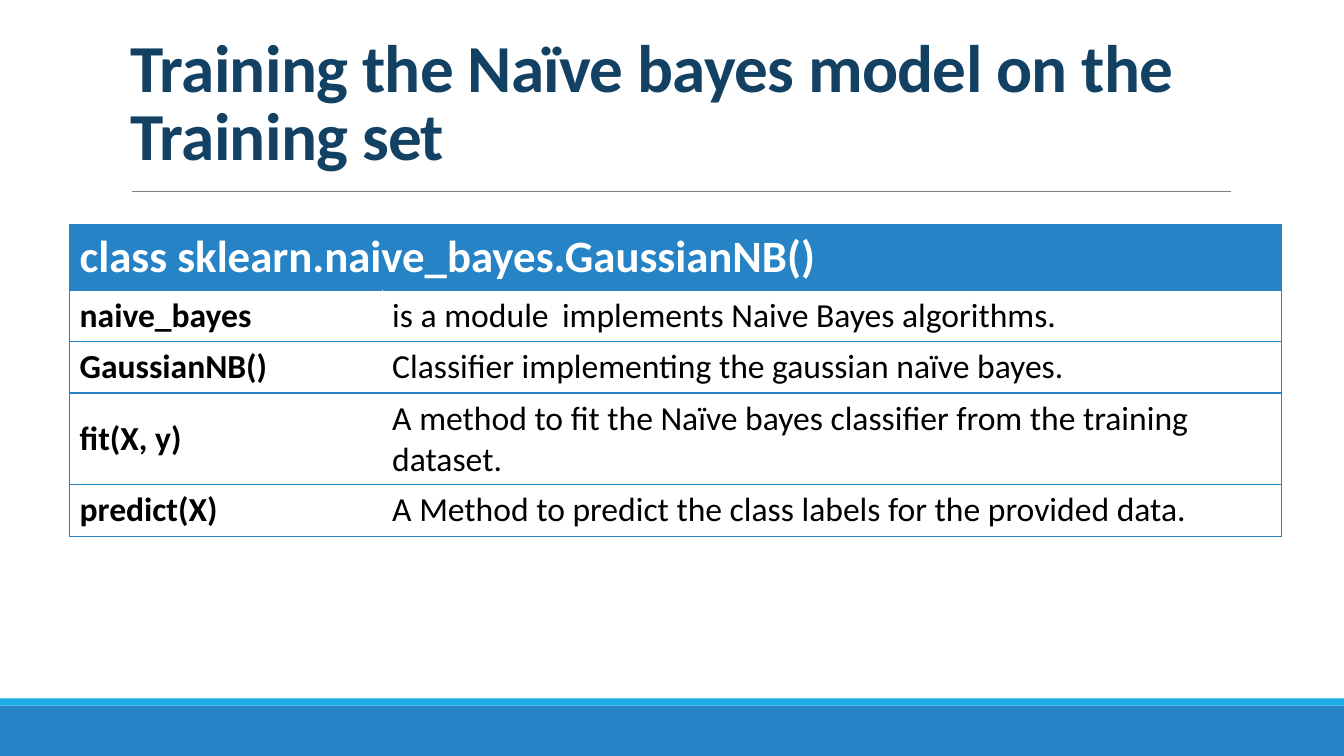
from lxml import etree
from pptx import Presentation
from pptx.dml.color import RGBColor
from pptx.enum.shapes import MSO_CONNECTOR, MSO_SHAPE
from pptx.enum.text import MSO_ANCHOR
from pptx.oxml.ns import qn
from pptx.util import Inches, Pt

RECT = MSO_SHAPE.RECTANGLE
STRAIGHT = MSO_CONNECTOR.STRAIGHT
TOP, MIDDLE, BOTTOM = MSO_ANCHOR.TOP, MSO_ANCHOR.MIDDLE, MSO_ANCHOR.BOTTOM

COLORS = {
    "blue": "2683C6",
    "cyan": "1CADE4",
    "navy": "134163",
    "grey": "808080",
    "white": "FFFFFF",
    "black": "000000",
}
FONT = "Calibri"
COL_WIDTHS = [3.1, 8.92]
ROW_HEIGHTS = [0.65, 0.51, 0.51, 0.91, 0.51]
HEADER = "class sklearn.naive_bayes.GaussianNB()"
ROWS = [
    ("naive_bayes",
     [("is a module ", 24), (" ", 18), ("implements Naive Bayes algorithms. ", 24)], TOP),
    ("GaussianNB()",
     [("Classifier implementing the gaussian naïve bayes.", 24)], TOP),
    ("fit(X, y)",
     [("A method to fit the Naïve bayes classifier from the training dataset.", 24)], MIDDLE),
    ("predict(X)",
     [("A Method to predict the class labels for the provided data.", 24)], MIDDLE),
]


def rgb(name):
    return RGBColor.from_string(COLORS[name])


def add_run(p, text, color, size, bold):
    r = p.add_run()
    r.text = text
    fmt = {"name": FONT, "size": Pt(size), "bold": bold}
    for key, value in fmt.items():
        setattr(r.font, key, value)
    r.font.color.rgb = rgb(color)
    return r


def add_band(slide, top, height, color):
    sp = slide.shapes.add_shape(RECT, 0, Inches(top), Inches(13.33), Inches(height))
    sp.shadow.inherit = False
    sp.fill.solid()
    sp.fill.fore_color.rgb = rgb(color)
    sp.line.fill.background()


def add_rule(slide, left, right, y):
    line = slide.shapes.add_connector(
        STRAIGHT, Inches(left), Inches(y), Inches(right), Inches(y))
    line.line.color.rgb = rgb("grey")
    line.line.width = Pt(0.5)
    etree.SubElement(line._element.spPr, qn("a:effectLst"))


def add_title(slide, text):
    sp = slide.shapes.add_textbox(Inches(1.2), Inches(0.19), Inches(11), Inches(1.59))
    tf = sp.text_frame
    tf.word_wrap = True
    tf.vertical_anchor = BOTTOM
    p = tf.paragraphs[0]
    p.line_spacing = 0.85
    r = add_run(p, text, "navy", 48, True)
    r.font._element.set("spc", "-50")


def set_borders(cell, sides):
    tcPr = cell._tc.get_or_add_tcPr()
    for i, side in enumerate(sides):
        ln = etree.Element(qn(f"a:ln{side}"), w=str(Pt(1)))
        fill = etree.SubElement(ln, qn("a:solidFill"))
        etree.SubElement(fill, qn("a:srgbClr"), val=COLORS["blue"])
        tcPr.insert(i, ln)


def fill_cell(cell, runs, color, bold, anchor, fill, sides):
    cell.fill.solid()
    cell.fill.fore_color.rgb = rgb(fill)
    cell.vertical_anchor = anchor
    for text, size in runs:
        add_run(cell.text_frame.paragraphs[0], text, color, size, bold)
    set_borders(cell, sides)


def add_method_table(slide):
    table = slide.shapes.add_table(
        len(ROW_HEIGHTS), len(COL_WIDTHS), Inches(0.69), Inches(2.23),
        Inches(sum(COL_WIDTHS)), Inches(sum(ROW_HEIGHTS))).table
    table.horz_banding = False
    for col, width in zip(table.columns, COL_WIDTHS):
        col.width = Inches(width)
    for row, height in zip(table.rows, ROW_HEIGHTS):
        row.height = Inches(height)
    table.cell(0, 0).merge(table.cell(0, 1))
    fill_cell(table.cell(0, 0), [(HEADER, 32)], "white", True, TOP, "blue", "LRTB")
    for i, (name, description, anchor) in enumerate(ROWS, 1):
        fill_cell(table.cell(i, 0), [(name, 24)], "black", True, anchor, "white", "LTB")
        fill_cell(table.cell(i, 1), description, "black", False, anchor, "white", "RTB")


def main():
    prs = Presentation()
    prs.slide_width, prs.slide_height = Inches(13.33), Inches(7.5)
    slide = prs.slides.add_slide(prs.slide_layouts[6])
    add_band(slide, 7, 0.5, "blue")
    add_band(slide, 6.93, 0.07, "cyan")
    add_rule(slide, 1.31, 12.21, 1.9)
    add_title(slide, "Training the Naïve bayes model on the Training set")
    add_method_table(slide)
    prs.save("out.pptx")


if __name__ == "__main__":
    main()
